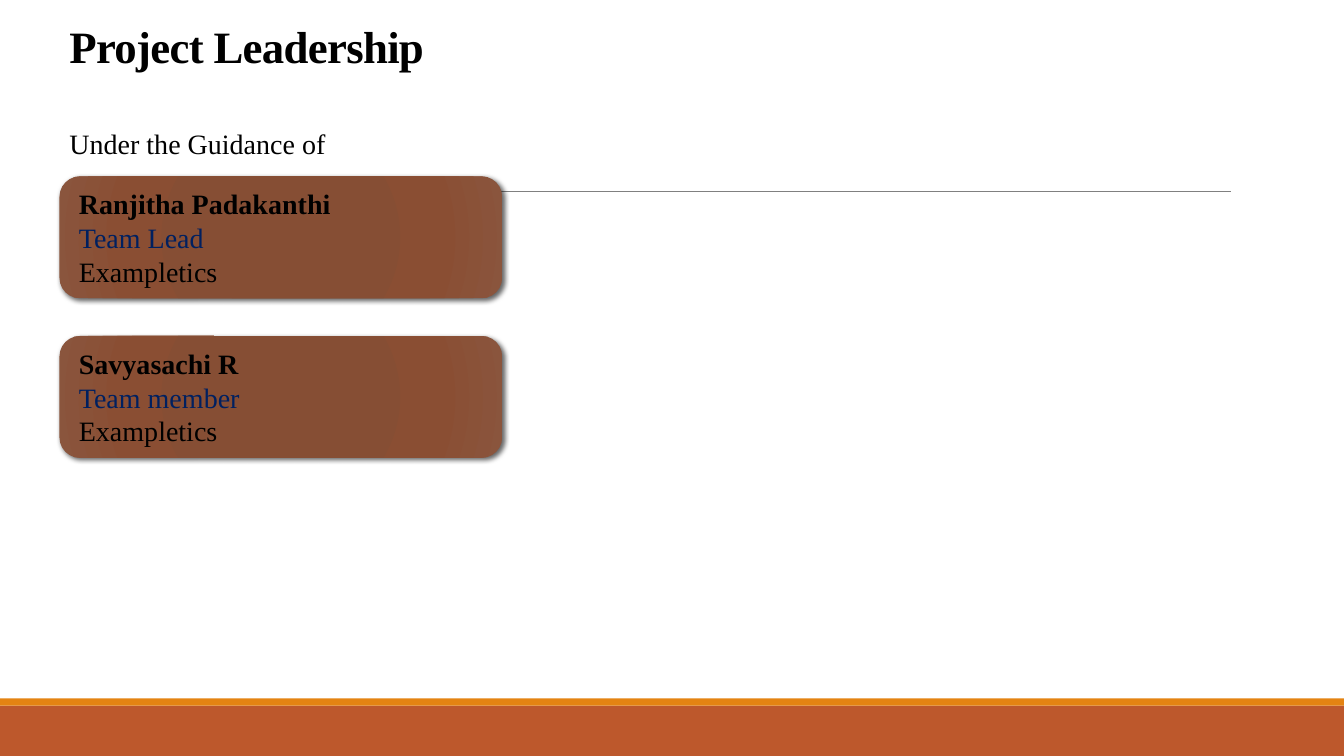
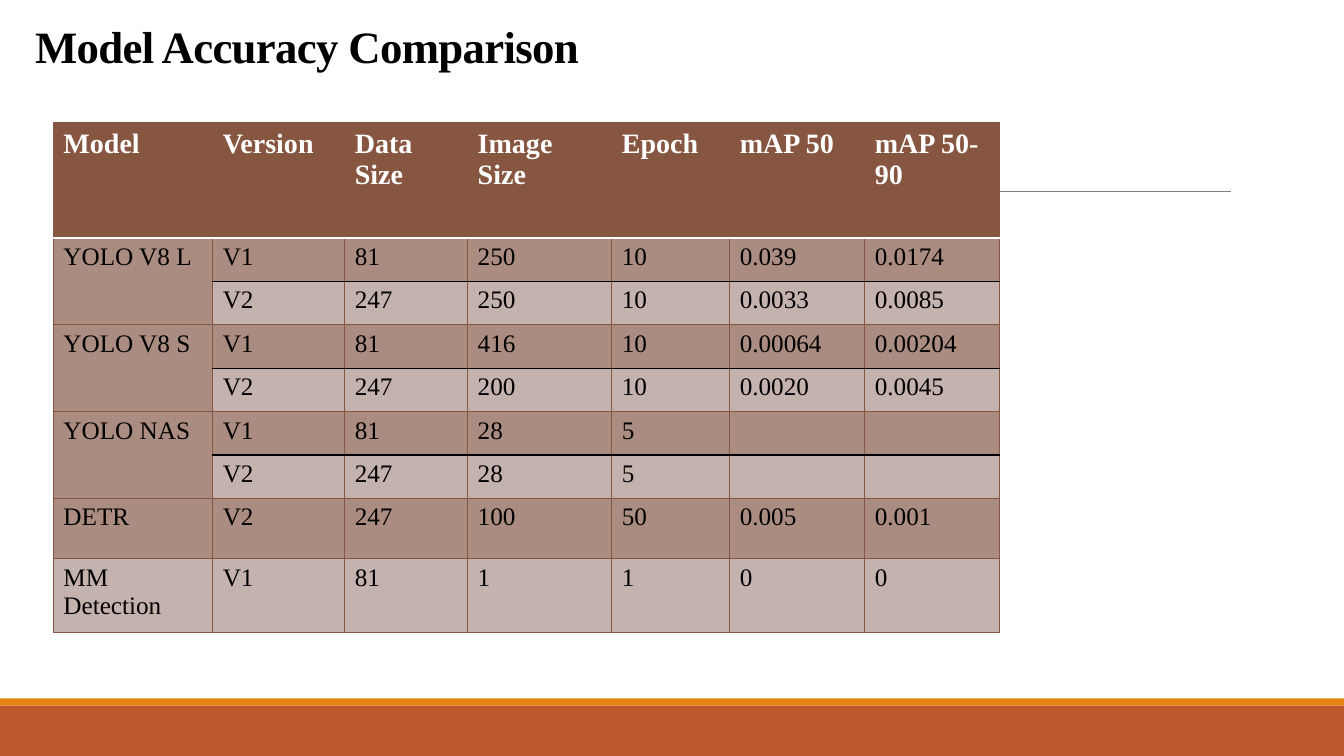
from dataclasses import dataclass

from lxml.etree import SubElement
from pptx import Presentation
from pptx.dml.color import RGBColor
from pptx.enum.shapes import MSO_CONNECTOR as Connector, MSO_SHAPE as Shape
from pptx.enum.text import MSO_ANCHOR as Anchor, PP_ALIGN as Align
from pptx.oxml import parse_xml
from pptx.oxml.ns import nsdecls, qn
from pptx.util import Emu, Pt


@dataclass(frozen=True)
class Theme:
    font: str = "Times New Roman"
    black: str = "000000"
    white: str = "FFFFFF"
    navy: str = "002060"
    rust: str = "BD582C"
    orange: str = "E48312"
    grey: str = "808080"
    brown: str = "865640"
    band: str = "AA8C80"
    pale: str = "C4B2AE"
    card_stops: tuple = ((0, "874C32"), (34, "864E34"), (70, "8A4E33"), (100, "8A553D"))
    title_size: int = 32
    body_size: int = 20
    cell_size: int = 18


THEME = Theme()
COLUMNS, ROWS = 160, 90
UNIT = 76200  # one square of the grid, 1/12 inch
TITLE_FORMAT = {"size": THEME.title_size, "bold": True}
NAME_FORMAT = {"size": THEME.body_size, "bold": True}
BODY_FORMAT = {"size": THEME.body_size}
ROLE_FORMAT = {"size": THEME.body_size, "color": THEME.navy}
HEADER_FORMAT = {"size": THEME.body_size, "bold": True, "color": THEME.white}
CELL_FORMAT = {"size": THEME.cell_size}

ORGANISATION = "Exampletics"
TEAM = [("Ranjitha Padakanthi", "Team Lead"), ("Savyasachi R", "Team member")]

TABLE_COLUMNS = [18.96, 15.72, 14.64, 17.16, 14.04, 16.08, 16.08]
TABLE_ROWS = [13.68] + [5.17] * 6 + [7.2, 8.8]
RESULTS = [
    ["Model", "Version", "Data Size", "Image Size", "Epoch", "mAP 50", "mAP 50-90"],
    ["YOLO V8 L", "V1", "81", "250", "10", "0.039", "0.0174"],
    ["", "V2", "247", "250", "10", "0.0033", "0.0085"],
    ["YOLO V8 S", "V1", "81", "416", "10", "0.00064", "0.00204"],
    ["", "V2", "247", "200", "10", "0.0020", "0.0045"],
    ["YOLO NAS", "V1", "81", "28", "5", "", ""],
    ["", "V2", "247", "28", "5", "", ""],
    ["DETR", "V2", "247", "100", "50", "0.005", "0.001"],
    ["MM Detection", "V1", "81", "1", "1", "0", "0"],
]
PAIR_STARTS = (1, 3, 5)


def grid(*squares):
    """Turn counts of grid squares into slide lengths."""
    return [Emu(round(count * UNIT)) for count in squares]


def rgb(color):
    return RGBColor.from_string(color)


def paint(fill, color):
    fill.solid()
    fill.fore_color.rgb = rgb(color)


def set_format(font, values):
    settings = {"name": THEME.font, "bold": False, "color": THEME.black, **values}
    font.color.rgb = rgb(settings.pop("color"))
    settings["size"] = Pt(settings["size"])
    for name, value in settings.items():
        setattr(font, name, value)


def write_lines(frame, lines):
    """Write one paragraph for each (text, format) pair."""
    for index, (text, values) in enumerate(lines):
        paragraph = frame.add_paragraph() if index else frame.paragraphs[0]
        paragraph.alignment = Align.LEFT
        run = paragraph.add_run()
        run.text = text
        set_format(run.font, values)


def add_text(slide, box, text, values, anchor=Anchor.TOP):
    frame = slide.shapes.add_textbox(*grid(*box)).text_frame
    frame.word_wrap = True
    frame.vertical_anchor = anchor
    write_lines(frame, [(text, values)])
    return frame.paragraphs[0]


def add_band(slide, top, height, color):
    band = slide.shapes.add_shape(Shape.RECTANGLE, *grid(0, top, COLUMNS, height))
    band.shadow.inherit = False
    paint(band.fill, color)
    band.line.fill.background()


def add_rule(slide, left, right, top):
    rule = slide.shapes.add_connector(Connector.STRAIGHT, *grid(left, top, right, top))
    rule.line.color.rgb = rgb(THEME.grey)
    rule.line.width = Pt(0.5)
    SubElement(rule.element.spPr, qn("a:effectLst"))


def add_title(slide, left, text):
    title = add_text(slide, (left, 2.28, 138, 7.08), text, TITLE_FORMAT, Anchor.MIDDLE)
    title.line_spacing = 0.9
    title.runs[0].font._element.set("spc", "-50")


def new_slide(presentation, title, title_left):
    """Add a blank slide with the shared bands, rule and title."""
    slide = presentation.slides.add_slide(presentation.slide_layouts[6])
    add_band(slide, 84, 6, THEME.rust)
    add_band(slide, 83.16, 0.84, THEME.orange)
    add_rule(slide, 15.72, 146.52, 22.8)
    add_title(slide, title_left, title)
    return slide


def shade_card(card):
    """Give a card its radial gradient and soft shadow."""
    stops = "".join(
        f'<a:gs pos="{position * 1000}"><a:srgbClr val="{color}"/></a:gs>'
        for position, color in THEME.card_stops)
    gradient = parse_xml(
        f'<a:gradFill {nsdecls("a")} rotWithShape="1"><a:gsLst>{stops}</a:gsLst>'
        '<a:path path="circle"><a:fillToRect l="100000" t="100000" r="100000" b="100000"/>'
        '</a:path></a:gradFill>')
    shadow = parse_xml(
        f'<a:outerShdw {nsdecls("a")} blurRad="{Pt(3.5)}" dist="{Pt(2)}" dir="2700000" '
        f'algn="tl" rotWithShape="0"><a:srgbClr val="{THEME.black}">'
        '<a:alpha val="60000"/></a:srgbClr></a:outerShdw>')
    card.fill.background()
    card.line.fill.background()
    card.shadow.inherit = False
    properties = card.element.spPr
    properties.replace(properties.find(qn("a:noFill")), gradient)
    properties.find(qn("a:effectLst")).append(shadow)


def add_card(slide, box, lines):
    card = slide.shapes.add_shape(Shape.ROUNDED_RECTANGLE, *grid(*box))
    shade_card(card)
    frame = card.text_frame
    frame.word_wrap = True
    frame.vertical_anchor = Anchor.MIDDLE
    frame.margin_left, frame.margin_right = grid(1.6, 1.6)
    frame.margin_top, frame.margin_bottom = grid(0.8, 0.8)
    write_lines(frame, lines)


def rule_below(row, column):
    """Colour and width of the line under a table row."""
    if row == 0:
        return THEME.white, 1.25
    if row in PAIR_STARTS and column > 0:
        return THEME.black, 1
    return THEME.brown, 1


def set_borders(cell, row, column):
    side = (THEME.brown, 1)
    borders = {
        "L": side,
        "R": side,
        "T": rule_below(row - 1, column) if row else side,
        "B": rule_below(row, column),
    }
    properties = cell._tc.get_or_add_tcPr()
    for edge, (color, width) in borders.items():
        properties.append(parse_xml(
            f'<a:ln{edge} {nsdecls("a")} w="{Pt(width)}"><a:solidFill>'
            f'<a:srgbClr val="{color}"/></a:solidFill></a:ln{edge}>'))


def add_results_table(slide, left, top):
    size = grid(sum(TABLE_COLUMNS), sum(TABLE_ROWS))
    table = slide.shapes.add_table(
        len(TABLE_ROWS), len(TABLE_COLUMNS), *grid(left, top), *size).table
    table.horz_banding = False
    for column, width in zip(table.columns, grid(*TABLE_COLUMNS)):
        column.width = width
    for row, height in zip(table.rows, grid(*TABLE_ROWS)):
        row.height = height
    for row, texts in enumerate(RESULTS):
        color = THEME.band if row % 2 else THEME.pale
        for column, text in enumerate(texts):
            cell = table.cell(row, column)
            set_borders(cell, row, column)
            paint(cell.fill, color if row else THEME.brown)
            if text:
                write_lines(cell.text_frame, [(text, CELL_FORMAT if row else HEADER_FORMAT)])
    for row in PAIR_STARTS:
        table.cell(row, 0).merge(table.cell(row + 1, 0))


def build_leadership(presentation):
    slide = new_slide(presentation, "Project Leadership", 7.08)
    add_text(slide, (7.08, 14.5, 75, 5.3), "Under the Guidance of", BODY_FORMAT)
    for index, (name, role) in enumerate(TEAM):
        lines = [(name, NAME_FORMAT), (role, ROLE_FORMAT), (ORGANISATION, BODY_FORMAT)]
        add_card(slide, (7.08, 21 + 19 * index, 52.7, 14.5), lines)


def build_comparison(presentation):
    slide = new_slide(presentation, "Model Accuracy Comparison", 3)
    add_results_table(slide, 6.36, 14.64)


def main():
    presentation = Presentation()
    presentation.slide_width, presentation.slide_height = grid(COLUMNS, ROWS)
    build_leadership(presentation)
    build_comparison(presentation)
    presentation.save("out.pptx")


if __name__ == "__main__":
    main()
